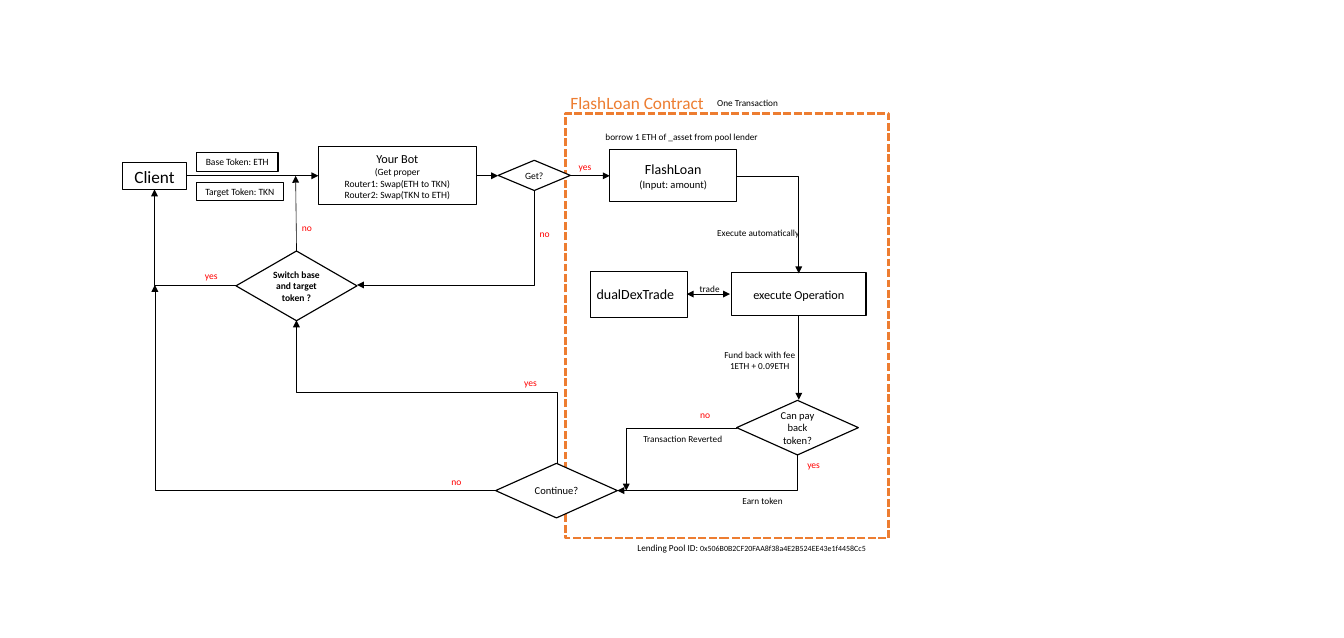
"""Build the flash loan arbitrage flowchart slide."""
from pptx import Presentation
from pptx.dml.color import RGBColor
from pptx.enum.dml import MSO_LINE
from pptx.enum.shapes import MSO_CONNECTOR, MSO_SHAPE
from pptx.enum.text import MSO_ANCHOR, MSO_AUTO_SIZE, PP_ALIGN
from pptx.oxml.ns import qn
from pptx.util import Pt
from lxml import etree

RECT, DECISION = MSO_SHAPE.RECTANGLE, MSO_SHAPE.FLOWCHART_DECISION
STRAIGHT, ELBOW = MSO_CONNECTOR.STRAIGHT, MSO_CONNECTOR.ELBOW
LEFT, CENTER = PP_ALIGN.LEFT, PP_ALIGN.CENTER
TOP, MIDDLE = MSO_ANCHOR.TOP, MSO_ANCHOR.MIDDLE
DASH, FIXED = MSO_LINE.SQUARE_DOT, MSO_AUTO_SIZE.NONE
BLACK, WHITE, RED, ORANGE = "000000", "FFFFFF", "FF0000", "ED7D31"


def color(value):
    return RGBColor.from_string(value)


def write(shape, lines, ink, align, anchor, inset, wrap):
    frame = shape.text_frame
    frame.auto_size = FIXED
    frame.word_wrap = wrap
    frame.vertical_anchor = anchor
    frame.margin_left = frame.margin_right = Pt(inset)
    frame.margin_top = frame.margin_bottom = Pt(inset / 2)
    for index, (text, size) in enumerate(lines):
        para = frame.add_paragraph() if index else frame.paragraphs[0]
        para.text = text
        para.alignment = align
        para.font.name = "Calibri"
        para.font.size = Pt(size)
        para.font.color.rgb = color(ink)


deck = Presentation()
deck.slide_width, deck.slide_height = Pt(1152), Pt(547.2)
page = deck.slides.add_slide(deck.slide_layouts[5])

title = page.shapes.title
title.left, title.top, title.width, title.height = Pt(481.7), Pt(75.6), Pt(130.3), Pt(25.2)
write(title, [("FlashLoan Contract", 14.8)], ORANGE, LEFT, TOP, 7.2, False)

contract = page.shapes.add_shape(RECT, Pt(484.6), Pt(97.2), Pt(277.2), Pt(364.3))
contract.shadow.inherit = False
contract.fill.solid()
contract.fill.fore_color.rgb = color(WHITE)
contract.line.color.rgb = color(ORANGE)
contract.line.width = Pt(2.25)
contract.line.dash_style = DASH

steps = [
    (RECT, 105.1, 139.7, 54.7, 23, CENTER, [("Client", 14.8)]),
    (RECT, 168.5, 131, 69.8, 15.8, CENTER, [("Base Token: ETH", 8.2)]),
    (RECT, 168.5, 156.2, 74.2, 15.8, CENTER, [("Target Token: TKN", 8.2)]),
    (RECT, 272.9, 126, 135.4, 49.7, CENTER, [
        ("Your Bot", 10.5), ("(Get proper", 8.2),
        ("Router1: Swap(ETH to TKN)", 8.2), ("Router2: Swap(TKN to ETH)", 8.2)]),
    (RECT, 522.7, 128.2, 108.7, 44.6, CENTER, [("FlashLoan", 12), ("(Input: amount)", 9)]),
    (RECT, 627.1, 234, 115.2, 36.7, CENTER, [("execute Operation", 10.5)]),
    (RECT, 506.2, 232.6, 82.8, 39.6, LEFT, [("dualDexTrade", 12)]),
    (DECISION, 427, 137.5, 61.9, 25.9, CENTER, [("Get?", 8.2)]),
    (DECISION, 202.3, 215.3, 103.7, 59.8, CENTER, [("Switch base and target token ?", 8.2)]),
    (DECISION, 631.4, 343.4, 104.4, 46.8, CENTER, [("Can pay back token?", 9)]),
    (DECISION, 424.8, 397.4, 104.4, 46.8, CENTER, [("Continue?", 9)]),
]
for kind, left, top, width, height, align, lines in steps:
    box = page.shapes.add_shape(kind, Pt(left), Pt(top), Pt(width), Pt(height))
    box.shadow.inherit = False
    box.fill.solid()
    box.fill.fore_color.rgb = color(WHITE)
    box.line.color.rgb = color(BLACK)
    box.line.width = Pt(1)
    write(box, lines, BLACK, align, MIDDLE, 5.2, True)
    if lines[0][0].startswith("Switch"):
        box.text_frame.paragraphs[0].font.bold = True

END, START, BOTH = ["tailEnd"], ["headEnd"], ["headEnd", "tailEnd"]
links = [
    ("line", 159.8, 150.8, 272.9, 150.8, END),
    ("line", 408.3, 150.8, 427, 150.8, END),
    ("line", 488.9, 150.8, 522.7, 150.8, END),
    ("line", 684.7, 270.7, 684.7, 342.9, END),
    ("line", 254.2, 215.3, 253.4, 150.8, END),
    ("line", 588.6, 252.2, 625.7, 252.2, BOTH),
    ("bentConnector2", 631.4, 150.8, 684.7, 234.4, END),
    ("bentConnector2", 306, 244.4, 458, 163.8, START),
    ("bentConnector2", 202.3, 244.8, 132.5, 162.4, END),
    ("bentConnector2", 529.2, 420.8, 683.4, 390.2, START),
    ("bentConnector2", 631.4, 367, 536.8, 420.8, END),
    ("bentConnector2", 424.8, 420.8, 132.8, 244.4, END),
    ("bentConnector3", 304.2, 447.9, 427.2, 224.7, END),
]
for preset, x1, y1, x2, y2, tips in links:
    kind = STRAIGHT if preset == "line" else ELBOW
    link = page.shapes.add_connector(kind, Pt(x1), Pt(y1), Pt(x2), Pt(y2))
    link.line.color.rgb = color(BLACK)
    link.line.width = Pt(0.5)
    properties = link._element.spPr
    properties.find(qn("a:prstGeom")).set("prst", preset)
    if preset == "bentConnector3":
        properties.find(qn("a:xfrm")).set("rot", "16200000")
    for tip in tips:
        etree.SubElement(properties.find(qn("a:ln")), qn(f"a:{tip}"), type="triangle")
    etree.SubElement(properties, qn("a:effectLst"))

answers = [
    ("yes", 490.3, 135.4), ("no", 457.2, 193), ("no", 253.4, 187.9), ("yes", 169.9, 229),
    ("yes", 686.2, 391), ("no", 594.7, 347.8), ("yes", 443.5, 320.4), ("no", 381.6, 405.4),
]
for text, left, top in answers:
    width = 22.3 if text == "yes" else 19.4
    answer = page.shapes.add_textbox(Pt(left), Pt(top), Pt(width), Pt(15.1))
    write(answer, [(text, 8.2)], RED, CENTER, TOP, 5.2, False)

notes = [
    (511.9, 109.4, 146.2, LEFT, ["borrow 1 ETH of _asset from pool lender"]),
    (613.4, 295.9, 75.6, CENTER, ["Fund back with fee", "1ETH + 0.09ETH"]),
    (629.3, 421.2, 49.7, LEFT, ["Earn token"]),
    (544.3, 367.9, 83.5, LEFT, ["Transaction Reverted"]),
    (607.7, 191.5, 85, LEFT, ["Execute automatically"]),
    (607.7, 79.9, 67.7, LEFT, ["One Transaction"]),
    (592.6, 239.8, 31.7, LEFT, ["trade"]),
    (539.3, 461.5, 208.8, LEFT, ["Lending Pool ID: "]),
]
for left, top, width, align, lines in notes:
    note = page.shapes.add_textbox(Pt(left), Pt(top), Pt(width), Pt(16.6))
    write(note, [(line, 7.9) for line in lines], BLACK, align, TOP, 7.2, False)
    if lines[0].startswith("Lending"):
        span = note.text_frame.paragraphs[0].add_run()
        span.text = "0x506B0B2CF20FAA8f38a4E2B524EE43e1f4458Cc5"
        span.font.size = Pt(6.8)

deck.save("out.pptx")
